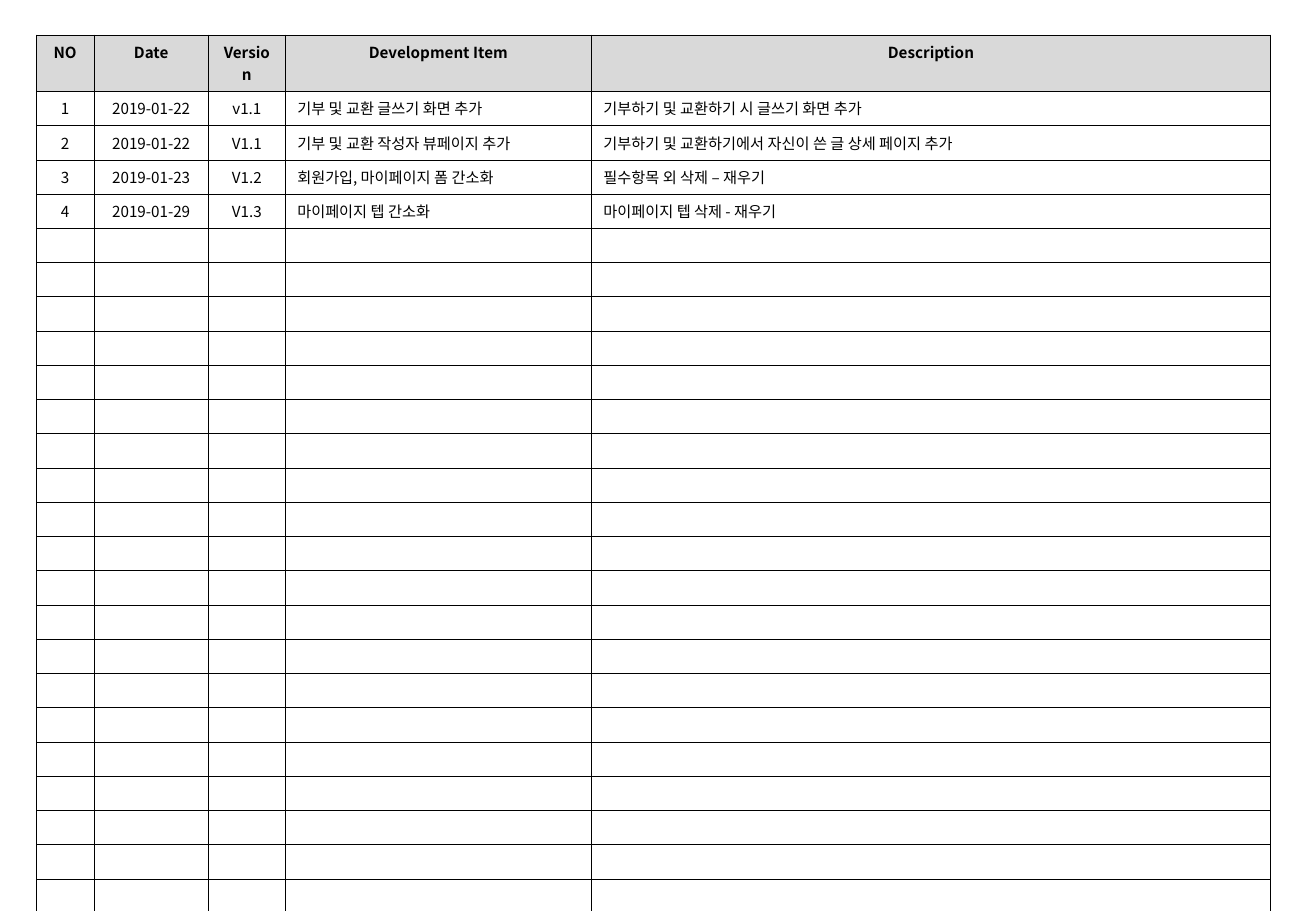
from lxml.etree import SubElement
from pptx import Presentation
from pptx.dml.color import RGBColor
from pptx.enum.text import PP_ALIGN
from pptx.oxml.ns import qn
from pptx.text.text import Font
from pptx.util import Cm, Pt

FONT = "Noto Sans CJK KR"
BLACK, HEADER_GRAY = "000000", "D9D9D9"
COLUMN_WIDTHS = [1.2, 2.4, 1.6, 6.4, 14.2]
CENTERED_COLUMNS = 3
ROW_COUNT = 25
ROW_HEIGHT = 0.56

HEADER = ["NO", "Date", "Version", "Development Item", "Description"]
REVISIONS = [
    ["1", "2019-01-22", "v1.1", "기부 및 교환 글쓰기 화면 추가",
     "기부하기 및 교환하기 시 글쓰기 화면 추가"],
    ["2", "2019-01-22", "V1.1", "기부 및 교환 작성자 뷰페이지 추가",
     "기부하기 및 교환하기에서 자신이 쓴 글 상세 페이지 추가"],
    ["3", "2019-01-23", "V1.2", "회원가입, 마이페이지 폼 간소화",
     "필수항목 외 삭제 – 재우기"],
    ["4", "2019-01-29", "V1.3", "마이페이지 텝 간소화",
     "마이페이지 텝 삭제 - 재우기"],
]


def color(value):
    return RGBColor.from_string(value)


def set_borders(cell):
    tcPr = cell._tc.get_or_add_tcPr()
    for side in ("a:lnL", "a:lnR", "a:lnT", "a:lnB"):
        ln = SubElement(tcPr, qn(side), w=str(Pt(0.25)))
        fill = SubElement(ln, qn("a:solidFill"))
        SubElement(fill, qn("a:srgbClr"), val=BLACK)


def set_text(cell, text, bold, centered):
    """Write the text; an empty cell gets the same font so its row keeps its height."""
    p = cell.text_frame.paragraphs[0]
    p.alignment = PP_ALIGN.CENTER if centered else PP_ALIGN.LEFT
    if text:
        p.text = text
        rPr = p.runs[0]._r.get_or_add_rPr()
    else:
        rPr = p._p.get_or_add_endParaRPr()
    font = Font(rPr)
    font.size = Pt(9)
    font.bold = bold
    font.color.rgb = color(BLACK)
    font.name = FONT
    SubElement(rPr, qn("a:ea"), typeface=FONT)


def add_revision_table(slide, left, top):
    width, height = sum(COLUMN_WIDTHS), ROW_COUNT * ROW_HEIGHT
    table = slide.shapes.add_table(ROW_COUNT, len(HEADER), Cm(left), Cm(top),
                                   Cm(width), Cm(height)).table
    table.horz_banding = False
    for column, column_width in zip(table.columns, COLUMN_WIDTHS):
        column.width = Cm(column_width)

    empty_rows = [[""] * len(HEADER)] * (ROW_COUNT - 1 - len(REVISIONS))
    for i, texts in enumerate([HEADER] + REVISIONS + empty_rows):
        is_header = i == 0
        table.rows[i].height = Cm(ROW_HEIGHT)
        for j, text in enumerate(texts):
            cell = table.cell(i, j)
            set_borders(cell)
            if is_header:
                cell.fill.solid()
                cell.fill.fore_color.rgb = color(HEADER_GRAY)
            else:
                cell.fill.background()
            set_text(cell, text, is_header, is_header or j < CENTERED_COLUMNS)


def main():
    prs = Presentation()
    prs.slide_width, prs.slide_height = Cm(27.51), Cm(19.05)
    slide = prs.slides.add_slide(prs.slide_layouts[6])
    add_revision_table(slide, 0.76, 0.73)
    prs.save("out.pptx")


if __name__ == "__main__":
    main()
